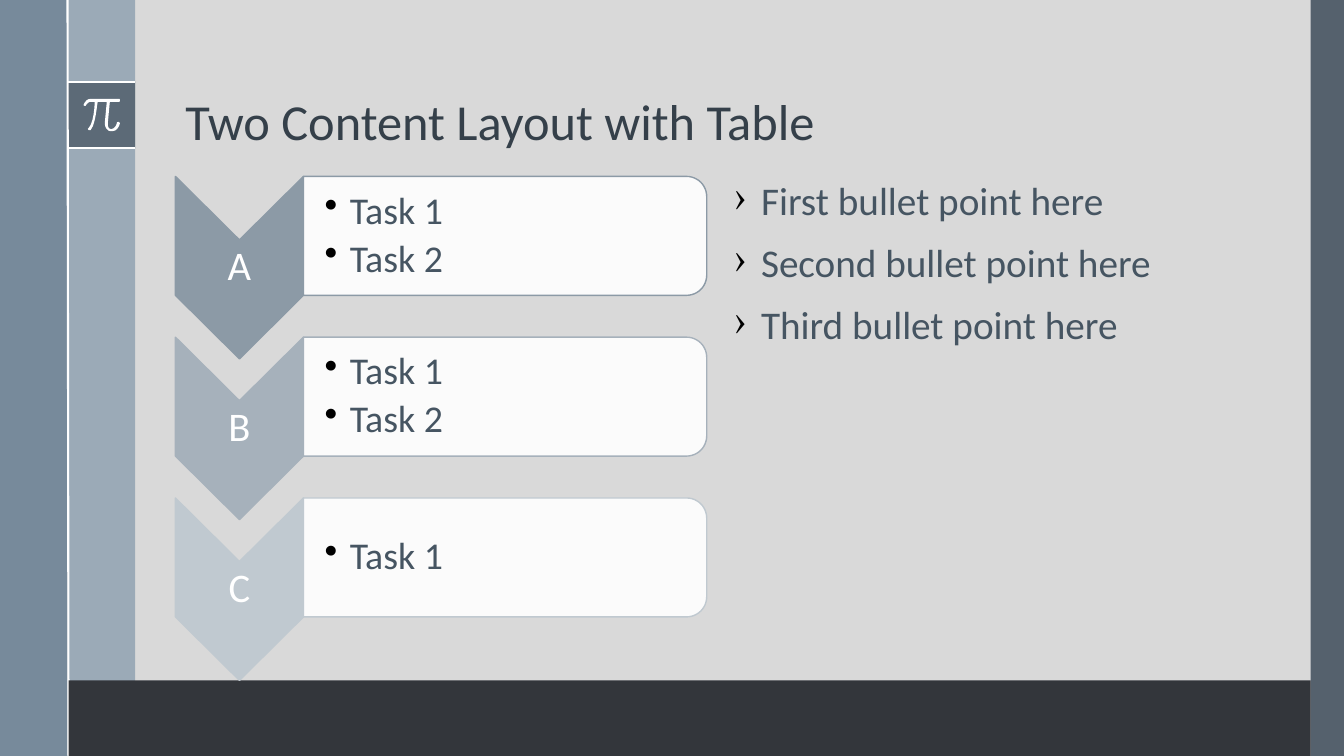
from lxml import etree
from math import cos, pi, sin
from pptx import Presentation
from pptx.dml.color import RGBColor
from pptx.enum.shapes import MSO_CONNECTOR, MSO_SHAPE
from pptx.enum.text import MSO_ANCHOR as Anchor, PP_ALIGN as Align
from pptx.oxml.ns import qn
from pptx.util import Inches, Pt

COLORS = {
    "background": "D9D9D9", "slate": "475562", "light_band": "9BAAB7",
    "left_band": "6A8093", "footer": "33363B", "white": "FFFFFF",
    "black": "000000", "title": "35404A", "body": "465562",
    "A": "8C9AA6", "B": "A6B1BB", "C": "C0C9D0",
}


def paint(shape, fill, opacity=100, outline=None):
    shape.shadow.inherit = False
    shape.fill.solid()
    shape.fill.fore_color.rgb = RGBColor.from_string(COLORS[fill])
    if opacity < 100:
        color = shape.fill._xPr.find(".//" + qn("a:srgbClr"))
        etree.SubElement(color, qn("a:alpha"), val=str(opacity * 1000))
    if outline:
        shape.line.color.rgb = RGBColor.from_string(COLORS[outline])
        shape.line.width = Pt(1)
    else:
        shape.line.fill.background()


def write(shape, lines, size, color, anchor, align=Align.LEFT, before=0, after=0,
          bullet=None, indent=0, margins=(0.1, 0.05, 0.1, 0.05)):
    frame = shape.text_frame
    frame.word_wrap = True
    frame.vertical_anchor = anchor
    (frame.margin_left, frame.margin_top,
     frame.margin_right, frame.margin_bottom) = map(Inches, margins)
    frame.text = "\n".join(lines)
    for para in frame.paragraphs:
        para.alignment = align
        para.line_spacing = 0.9
        para.space_before, para.space_after = Pt(before), Pt(after)
        for span in para.runs:
            span.font.name = "Calibri"
            span.font.size = Pt(size)
            span.font.color.rgb = RGBColor.from_string(COLORS[color])
        if bullet:
            props = para._p.get_or_add_pPr()
            props.set("marL", str(Inches(indent)))
            props.set("indent", str(-Inches(indent)))
            bullet_color = etree.SubElement(props, qn("a:buClr"))
            etree.SubElement(bullet_color, qn("a:srgbClr"), val=COLORS["black"])
            etree.SubElement(props, qn("a:buChar"), char=bullet)


deck = Presentation()
deck.slide_width, deck.slide_height = Inches(13.33), Inches(7.5)
page = deck.slides.add_slide(deck.slide_layouts[6])
page.background.fill.solid()
page.background.fill.fore_color.rgb = RGBColor.from_string(COLORS["background"])
shapes = page.shapes

# Side bands and the square behind the pi sign
for left, top, width, height, color, opacity in [
    (13, 0, 0.33, 7.5, "slate", 90),
    (0.67, 0, 0.67, 7.5, "light_band", 100),
    (0, 0, 0.67, 7.5, "left_band", 88),
    (0.67, 0.81, 0.67, 0.66, "slate", 75),
]:
    band = shapes.add_shape(MSO_SHAPE.RECTANGLE, Inches(left), Inches(top),
                            Inches(width), Inches(height))
    paint(band, color, opacity)

# White rules
for x1, y1, x2, y2 in [(0.67, 0.81, 1.34, 0.81), (0.67, 1.47, 1.34, 1.47),
                       (0.67, 0, 0.68, 7.5)]:
    rule = shapes.add_connector(MSO_CONNECTOR.STRAIGHT, Inches(x1), Inches(y1),
                                Inches(x2), Inches(y2))
    rule.line.color.rgb = RGBColor.from_string(COLORS["white"])
    rule.line.width = Pt(1.5)
    etree.SubElement(rule._element.spPr, qn("a:effectLst"))

# Pi sign: cubic curves, each given by two control points and an end point
pi_curves = [
    (0.9, 0.98, 0.9, 0.98, 0.9, 0.98), (0.85, 0.98, 0.83, 1.04, 0.83, 1.04),
    (0.83, 1.04, 0.83, 1.05, 0.84, 1.05), (0.85, 1.05, 0.85, 1.05, 0.85, 1.05),
    (0.85, 1.05, 0.87, 1.01, 0.9, 1.01), (0.94, 1.01, 0.94, 1.01, 0.94, 1.01),
    (0.94, 1.05, 0.93, 1.22, 0.88, 1.27), (0.87, 1.28, 0.87, 1.28, 0.88, 1.29),
    (0.88, 1.29, 0.89, 1.29, 0.9, 1.29), (0.95, 1.23, 0.96, 1.05, 0.97, 1.01),
    (1.06, 1.01, 1.06, 1.01, 1.06, 1.01), (1.04, 1.22, 1.04, 1.22, 1.04, 1.22),
    (1.04, 1.22, 1.04, 1.27, 1.07, 1.29), (1.08, 1.3, 1.09, 1.3, 1.1, 1.3),
    (1.11, 1.3, 1.11, 1.3, 1.12, 1.3), (1.17, 1.3, 1.19, 1.23, 1.19, 1.22),
    (1.19, 1.22, 1.18, 1.21, 1.18, 1.21), (1.17, 1.21, 1.16, 1.21, 1.16, 1.22),
    (1.16, 1.22, 1.15, 1.27, 1.11, 1.28), (1.1, 1.28, 1.09, 1.28, 1.08, 1.27),
    (1.07, 1.26, 1.07, 1.23, 1.07, 1.22), (1.09, 1.01, 1.09, 1.01, 1.09, 1.01),
    (1.18, 1.01, 1.18, 1.01, 1.18, 1.01), (1.19, 1.01, 1.19, 1, 1.19, 1),
    (1.19, 0.99, 1.19, 0.98, 1.18, 0.98),
]
x, y = 1.18, 0.98
outline = shapes.build_freeform(Inches(x), Inches(y))
for x1, y1, x2, y2, x3, y3 in pi_curves:
    points = []
    for step in range(1, 7):
        t = step / 6
        a, b, c, d = (1 - t) ** 3, 3 * t * (1 - t) ** 2, 3 * t * t * (1 - t), t ** 3
        points.append((Inches(a * x + b * x1 + c * x2 + d * x3),
                       Inches(a * y + b * y1 + c * y2 + d * y3)))
    outline.add_line_segments(points, close=False)
    x, y = x3, y3
outline.add_line_segments([], close=True)
paint(outline.convert_to_shape(), "white")

# Footer
footer = shapes.add_shape(MSO_SHAPE.RECTANGLE, Inches(0.68), Inches(6.75),
                          Inches(12.32), Inches(0.75))
paint(footer, "footer")

# Title and bullet list
title = shapes.add_textbox(Inches(1.74), Inches(0.19), Inches(10.7), Inches(1.36))
write(title, ["Two Content Layout with Table"], 36, "title", Anchor.BOTTOM)
body = shapes.add_textbox(Inches(7.18), Inches(1.75), Inches(5.27), Inches(5))
write(body, ["First bullet point here", "Second bullet point here",
             "Third bullet point here"], 28, "body", Anchor.TOP,
      before=14, bullet="›", indent=0.27)

# Chevron list: a letter on the left, its tasks in a box on the right
left, middle, right = 1.74, 3.01, 7.01
height, notch, radius = 1.18, 0.63, 0.2
steps = [("A", ["Task 1", "Task 2"]), ("B", ["Task 1", "Task 2"]), ("C", ["Task 1"])]
for index, (letter, tasks) in enumerate(steps):
    top = 1.75 + index * 1.595
    bottom, center = top + height, (left + middle) / 2
    chevron_points = [(middle, top), (middle, bottom), (center, bottom + notch),
                      (left, bottom), (left, top), (center, top + notch)]
    angles = [step * pi / 24 for step in range(13)]
    upper = [(right - radius + radius * sin(angle), top + radius - radius * cos(angle))
             for angle in angles]
    lower = [(px, top + bottom - py) for px, py in reversed(upper)]
    box_points = [(middle, top), *upper, *lower, (middle, bottom)]

    drawn = []
    for points in (chevron_points, box_points):
        corners = [(Inches(px), Inches(py)) for px, py in points]
        outline = shapes.build_freeform(*corners[0])
        outline.add_line_segments(corners[1:], close=True)
        drawn.append(outline.convert_to_shape())
    chevron, box = drawn
    paint(chevron, letter, outline=letter)
    write(chevron, [letter], 29, "white", Anchor.MIDDLE, Align.CENTER, after=12,
          margins=(0.02, 0.65, 0.02, 0.65))
    paint(box, "white", 90, outline=letter)
    write(box, tasks, 27, "body", Anchor.MIDDLE, after=5, bullet="•", indent=0.25,
          margins=(0.21, 0.08, 0.08, 0.08))

deck.save("out.pptx")
